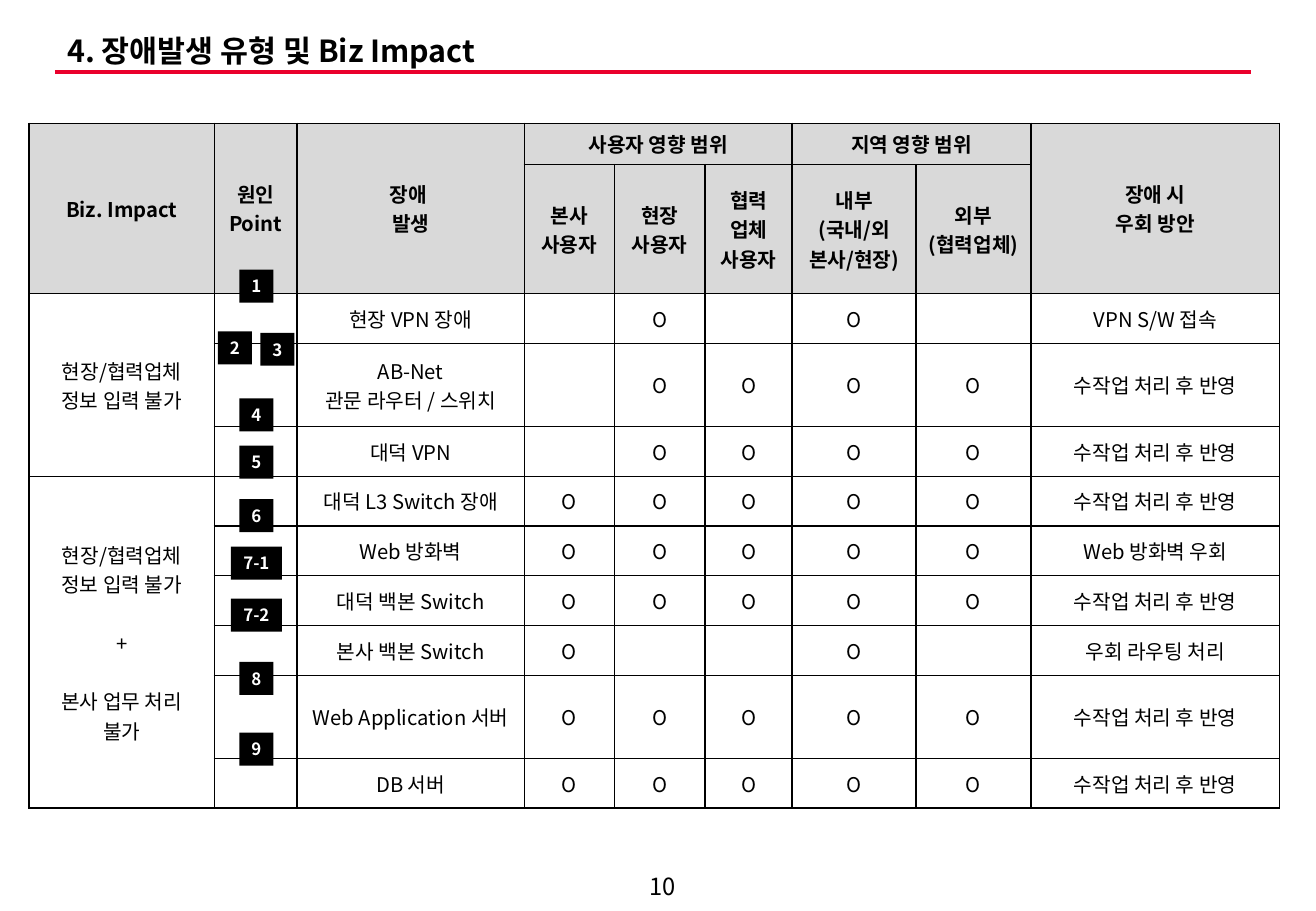
from dataclasses import dataclass
from typing import Any

from lxml.etree import SubElement
from pptx import Presentation
from pptx.dml.color import RGBColor
from pptx.enum.shapes import MSO_CONNECTOR, MSO_SHAPE
from pptx.enum.text import MSO_ANCHOR, MSO_AUTO_SIZE, PP_ALIGN
from pptx.oxml.ns import qn
from pptx.util import Cm, Pt

FONT = "Noto Sans CJK KR"
COLORS = {
    "text": "000000",
    "rule": "EA002C",
    "header": "D9D9D9",
    "body": "FFFFFF",
    "badge": "000000",
    "badge_text": "FFFFFF",
}
COLUMN_WIDTHS = (3.87, 1.73, 4.75, 1.88, 1.9, 1.82, 2.59, 2.4, 5.2)
HEADER_HEIGHTS = (0.86, 2.7)
BADGE_HEIGHT = 0.69
MANUAL = "수작업 처리 후 반영"


@dataclass(frozen=True)
class Heading:
    row: int
    column: int
    text: str
    rows: int = 1
    columns: int = 1
    bold: bool = True


@dataclass(frozen=True)
class Failure:
    name: str
    marks: str
    detour: str = MANUAL
    height: float = 1.04


@dataclass(frozen=True)
class Badge:
    label: str
    top: float
    center: float = 5.36
    width: float = 0.71


HEADINGS = (
    Heading(0, 0, "Biz. Impact", rows=2),
    Heading(0, 1, "원인Point", rows=2),
    Heading(0, 2, "장애 \n발생", rows=2),
    Heading(0, 3, "사용자 영향 범위", columns=3),
    Heading(0, 6, "지역 영향 범위", columns=2),
    Heading(0, 8, "장애 시\n우회 방안", rows=2),
    Heading(1, 3, "본사\n사용자"),
    Heading(1, 4, "현장\n사용자"),
    Heading(1, 5, "협력\n업체\n사용자"),
    Heading(1, 6, "내부\n(국내/외\n본사/현장)"),
    Heading(1, 7, "외부\n(협력업체)"),
    Heading(2, 0, "현장/협력업체\n정보 입력 불가", rows=3, bold=False),
    Heading(5, 0, "현장/협력업체\n정보 입력 불가\n+\n본사 업무 처리 불가", rows=6, bold=False),
)
FAILURES = (
    Failure("현장 VPN 장애", "-O-O-", "VPN S/W 접속"),
    Failure("AB-Net\n관문 라우터 / 스위치", "-OOOO", height=1.74),
    Failure("대덕 VPN", "-OOOO"),
    Failure("대덕 L3 Switch 장애", "OOOOO"),
    Failure("Web 방화벽", "OOOOO", "Web 방화벽 우회"),
    Failure("대덕 백본 Switch", "OOOOO"),
    Failure("본사 백본 Switch", "O--O-", "우회 라우팅 처리"),
    Failure("Web Application 서버", "OOOOO", height=1.74),
    Failure("DB 서버", "OOOOO"),
)
BADGES = (
    Badge("1", 5.64),
    Badge("2", 6.93, center=4.91),
    Badge("3", 6.96, center=5.8),
    Badge("4", 8.33),
    Badge("5", 9.32),
    Badge("6", 10.44),
    Badge("7-1", 11.43, width=1.07),
    Badge("7-2", 12.52, width=1.07),
    Badge("8", 13.84),
    Badge("9", 15.32),
)


def rgb(name: str) -> RGBColor:
    return RGBColor.from_string(COLORS[name])


def apply(target: Any, values: dict[str, Any]) -> None:
    for name, value in values.items():
        setattr(target, name, value)


def write(frame: Any, text: str, size: float, bold: bool = False,
          color: str = "text", alignment: Any = PP_ALIGN.CENTER) -> None:
    frame.text = text
    for paragraph in frame.paragraphs:
        paragraph.alignment = alignment
        for run in paragraph.runs:
            apply(run.font, {"name": FONT, "size": Pt(size), "bold": bold})
            run.font.color.rgb = rgb(color)
            run.font._element.set("kern", "0")
            SubElement(run.font._element, qn("a:ea"), typeface=FONT)
        if not paragraph.runs:
            SubElement(paragraph._p, qn("a:endParaRPr"), sz=str(int(size * 100)))


def add_title(slide: Any) -> None:
    title = slide.shapes.title
    apply(title, {"left": Cm(1.15), "top": Cm(0.64), "width": Cm(24.21), "height": Cm(0.94)})
    write(title.text_frame, "4. 장애발생 유형 및 Biz Impact", 18, bold=True, alignment=PP_ALIGN.LEFT)
    apply(title.text_frame, {"vertical_anchor": MSO_ANCHOR.MIDDLE, "word_wrap": True,
                             "auto_size": MSO_AUTO_SIZE.NONE})
    title.text_frame.paragraphs[0].line_spacing = 0.9


def add_rule(slide: Any) -> None:
    rule = slide.shapes.add_connector(MSO_CONNECTOR.STRAIGHT, Cm(1.15), Cm(1.51), Cm(26.15), Cm(1.51))
    rule.line.color.rgb = rgb("rule")
    rule.line.width = Pt(2.25)
    SubElement(rule._element.spPr, qn("a:effectLst"))


def format_cell(cell: Any, fill: str) -> None:
    properties = cell._tc.get_or_add_tcPr()
    for side in ("lnL", "lnR", "lnT", "lnB"):
        border = SubElement(properties, qn(f"a:{side}"), w=str(Pt(1)))
        solid = SubElement(border, qn("a:solidFill"))
        SubElement(solid, qn("a:srgbClr"), val=COLORS["text"])
    cell.fill.solid()
    cell.fill.fore_color.rgb = rgb(fill)
    cell.vertical_anchor = MSO_ANCHOR.MIDDLE
    write(cell.text_frame, "", 12)


def write_cell(cell: Any, text: str, bold: bool = False) -> None:
    for paragraph in cell.text_frame.paragraphs:
        for end in paragraph._p.findall(qn("a:endParaRPr")):
            paragraph._p.remove(end)
    write(cell.text_frame, text, 12, bold)


def add_impact_table(slide: Any) -> None:
    heights = HEADER_HEIGHTS + tuple(failure.height for failure in FAILURES)
    frame = slide.shapes.add_table(len(heights), len(COLUMN_WIDTHS), Cm(0.61), Cm(2.58),
                                   Cm(sum(COLUMN_WIDTHS)), Cm(sum(heights)))
    table = frame.table
    apply(table, {"first_row": False, "horz_banding": False})
    for column, width in zip(table.columns, COLUMN_WIDTHS):
        column.width = Cm(width)
    for index, (row, height) in enumerate(zip(table.rows, heights)):
        row.height = Cm(height)
        for cell in row.cells:
            format_cell(cell, "header" if index < len(HEADER_HEIGHTS) else "body")
    for heading in HEADINGS:
        cell = table.cell(heading.row, heading.column)
        if heading.rows * heading.columns > 1:
            cell.merge(table.cell(heading.row + heading.rows - 1, heading.column + heading.columns - 1))
        write_cell(cell, heading.text, heading.bold)
    for row, failure in enumerate(FAILURES, len(HEADER_HEIGHTS)):
        for column, text in enumerate((failure.name, *failure.marks, failure.detour), 2):
            if text != "-":
                write_cell(table.cell(row, column), text)
    for paragraph in table.cell(5, 0).text_frame.paragraphs[2:]:
        paragraph.space_before = Pt(17.4)


def add_badge(slide: Any, badge: Badge) -> None:
    shape = slide.shapes.add_shape(MSO_SHAPE.RECTANGLE, Cm(badge.center - badge.width / 2),
                                   Cm(badge.top), Cm(badge.width), Cm(BADGE_HEIGHT))
    shape.shadow.inherit = False
    shape.fill.solid()
    shape.fill.fore_color.rgb = rgb("badge")
    shape.line.fill.background()
    write(shape.text_frame, badge.label, 10, bold=True, color="badge_text")
    apply(shape.text_frame, {"word_wrap": False, "auto_size": MSO_AUTO_SIZE.SHAPE_TO_FIT_TEXT})


def add_page_number(slide: Any) -> None:
    box = slide.shapes.add_textbox(Cm(12.95), Cm(18.14), Cm(1.8), Cm(0.79))
    write(box.text_frame, "10", 14)
    apply(box.text_frame, {"word_wrap": True, "vertical_anchor": MSO_ANCHOR.MIDDLE})


def main() -> None:
    presentation = Presentation()
    apply(presentation, {"slide_width": Cm(27.51), "slide_height": Cm(19.05)})
    slide = presentation.slides.add_slide(presentation.slide_layouts.get_by_name("Title Only"))
    add_page_number(slide)
    add_rule(slide)
    add_title(slide)
    add_impact_table(slide)
    for badge in BADGES:
        add_badge(slide, badge)
    presentation.save("out.pptx")


if __name__ == "__main__":
    main()
